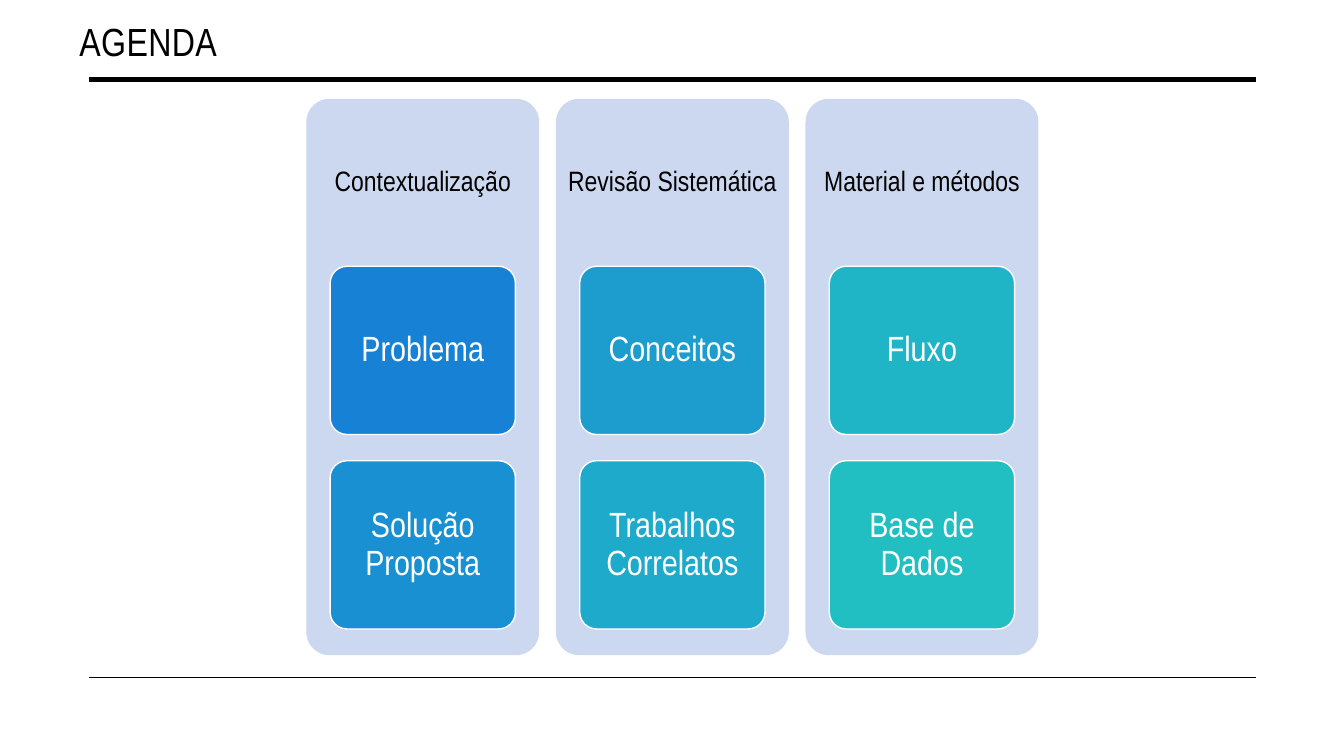
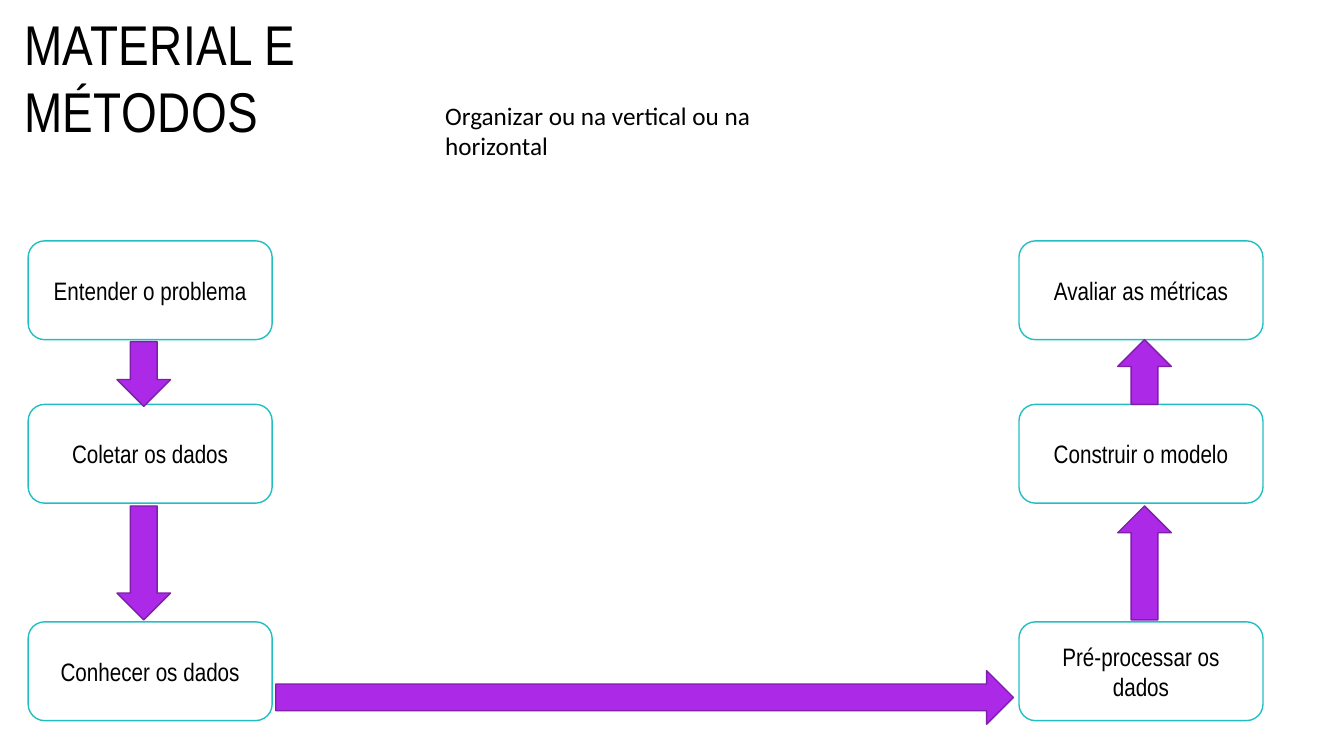
from pptx import Presentation
from pptx import util as u
from pptx.dml.color import RGBColor
from pptx.enum import shapes, text
from pptx.oxml.ns import qn
from lxml import etree

SHAPE = shapes.MSO_SHAPE
ALIGN = text.PP_ALIGN
ANCHOR = text.MSO_ANCHOR


def color(value):
    return RGBColor.from_string(value)


class Slides:
    """Holds the shared style and the slide being built."""

    BLACK, WHITE = "000000", "FFFFFF"
    PANEL, TEAL = "CCD8EF", "22BFC2"
    ARROW, ARROW_EDGE = "AC29E7", "7F1EAB"
    FONT, NOTE_FONT = "Arial Narrow", "Calibri"
    INSET = (0.25, 0.13)

    def __init__(self):
        self.deck = Presentation()
        self.deck.slide_width, self.deck.slide_height = u.Cm(33.87), u.Cm(19.05)
        self.page = None

    def add_page(self, title, place, size):
        self.page = self.deck.slides.add_slide(self.deck.slide_layouts[5])
        box = self.page.shapes.title
        box.left, box.top, box.width, box.height = map(u.Cm, place)
        span = self.fill_text(box, title, size, align=ALIGN.LEFT, anchor=ANCHOR.TOP)
        span._r.get_or_add_rPr().set("spc", "30")

    def fill_text(self, box, words, size, ink=BLACK, font=FONT, align=ALIGN.CENTER,
                  anchor=ANCHOR.MIDDLE, inset=INSET, spacing=1.0):
        """Put one formatted paragraph in the box and return its run."""
        frame = box.text_frame
        side, edge = map(u.Cm, inset)
        frame_format = {
            "word_wrap": True, "auto_size": text.MSO_AUTO_SIZE.NONE,
            "vertical_anchor": anchor, "margin_left": side, "margin_right": side,
            "margin_top": edge, "margin_bottom": edge,
        }
        para = frame.paragraphs[0]
        span = para.add_run()
        span.text = words
        formats = (
            (frame, frame_format),
            (para, {"alignment": align, "line_spacing": spacing}),
            (span.font, {"name": font, "size": u.Pt(size)}),
        )
        for target, values in formats:
            for name, value in values.items():
                setattr(target, name, value)
        span.font.color.rgb = color(ink)
        return span

    def add_text(self, place, words, size, **style):
        box = self.page.shapes.add_textbox(*map(u.Cm, place))
        self.fill_text(box, words, size, **style)

    def add_shape(self, kind, place, fill=None, line=None, rounding=None):
        shape = self.page.shapes.add_shape(kind, *map(u.Cm, place))
        shape.shadow.inherit = False
        if fill:
            shape.fill.solid()
            shape.fill.fore_color.rgb = color(fill)
        else:
            shape.fill.background()
        if line:
            shape.line.color.rgb = color(line)
            shape.line.width = u.Pt(1)
        else:
            shape.line.fill.background()
        if rounding:
            shape.adjustments[0] = rounding
        return shape

    def add_rule(self, top, weight):
        rule = self.page.shapes.add_connector(
            shapes.MSO_CONNECTOR.STRAIGHT, *map(u.Cm, (2.24, top, 31.65, top)))
        rule.line.color.rgb = color(self.BLACK)
        rule.line.width = u.Pt(weight)
        etree.SubElement(rule._element.spPr, qn("a:effectLst"))

    def add_column(self, left, heading, cards):
        """Draw a panel with a heading and (words, fill) cards stacked below it."""
        top, width = 2.49, 5.87
        self.add_shape(SHAPE.ROUNDED_RECTANGLE, (left, top, width, 14.02),
                       self.PANEL, rounding=0.1)
        self.add_text((left, top, width, 4.22), heading, 20,
                      inset=(0.2, 0.2), spacing=0.9)
        for row, (words, fill) in enumerate(cards):
            card = self.add_shape(
                SHAPE.ROUNDED_RECTANGLE, (left + 0.6, 6.71 + row * 4.9, 4.67, 4.24),
                fill, self.WHITE, rounding=0.1)
            self.fill_text(card, words, 25, ink=self.WHITE, inset=(0.18, 0.13),
                           spacing=0.9)

    def add_step(self, left, top, words):
        step = self.add_shape(SHAPE.ROUNDED_RECTANGLE, (left, top, 6.15, 2.49),
                              line=self.TEAL)
        self.fill_text(step, words, 18)

    def add_arrow(self, kind, place):
        self.add_shape(kind, place, self.ARROW, self.ARROW_EDGE)


def build_agenda(slides):
    slides.add_page("AGENDA", (1.75, 0.3, 11.4, 3.66), 28)
    slides.add_rule(2.01, 3.5)
    slides.add_rule(17.07, 1)
    columns = (
        ("Contextualização", (("Problema", "1782D5"), ("Solução Proposta", "1990D1"))),
        ("Revisão Sistemática", (("Conceitos", "1C9DCD"), ("Trabalhos Correlatos", "1EAACA"))),
        ("Material e métodos", (("Fluxo", "20B5C6"), ("Base de Dados", "22BFC2"))),
    )
    for index, (heading, cards) in enumerate(columns):
        slides.add_column(7.72 + index * 6.29, heading, cards)


def build_methods(slides):
    slides.add_page("MATERIAL E MÉTODOS", (0.36, 0.1, 10.62, 5.44), 40)
    tops = (6.07, 10.19, 15.67)
    columns = (
        (0.71, ("Entender o problema", "Coletar os dados", "Conhecer os dados")),
        (25.68, ("Avaliar as métricas", "Construir o modelo", "Pré-processar os dados")),
    )
    for left, steps in columns:
        for top, words in zip(tops, steps):
            slides.add_step(left, top, words)

    thickness = 1.35
    arrows = (
        (SHAPE.DOWN_ARROW, 2.95, 8.61, 1.63),
        (SHAPE.DOWN_ARROW, 2.95, 12.75, 2.87),
        (SHAPE.UP_ARROW, 28.17, 12.75, 2.87),
        (SHAPE.UP_ARROW, 28.17, 8.56, 1.63),
    )
    for kind, left, top, length in arrows:
        slides.add_arrow(kind, (left, top, thickness, length))
    slides.add_arrow(SHAPE.RIGHT_ARROW, (6.95, 16.9, 18.59, thickness))
    slides.add_text((10.97, 2.39, 8.81, 3.33), "Organizar ou na vertical ou na horizontal",
                    18, font=slides.NOTE_FONT, align=ALIGN.LEFT, anchor=ANCHOR.TOP)


def main():
    slides = Slides()
    build_agenda(slides)
    build_methods(slides)
    slides.deck.save("out.pptx")


if __name__ == "__main__":
    main()
